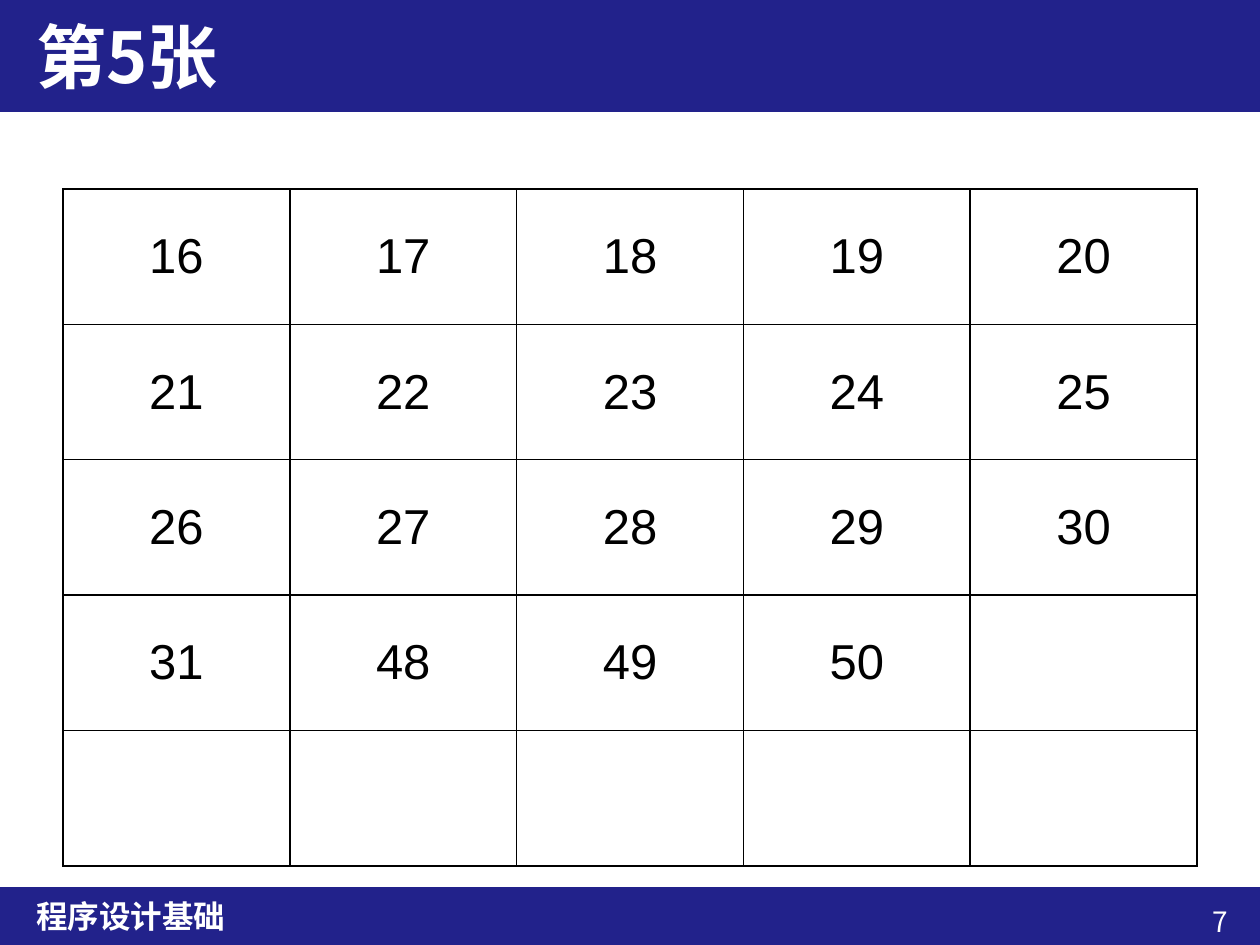
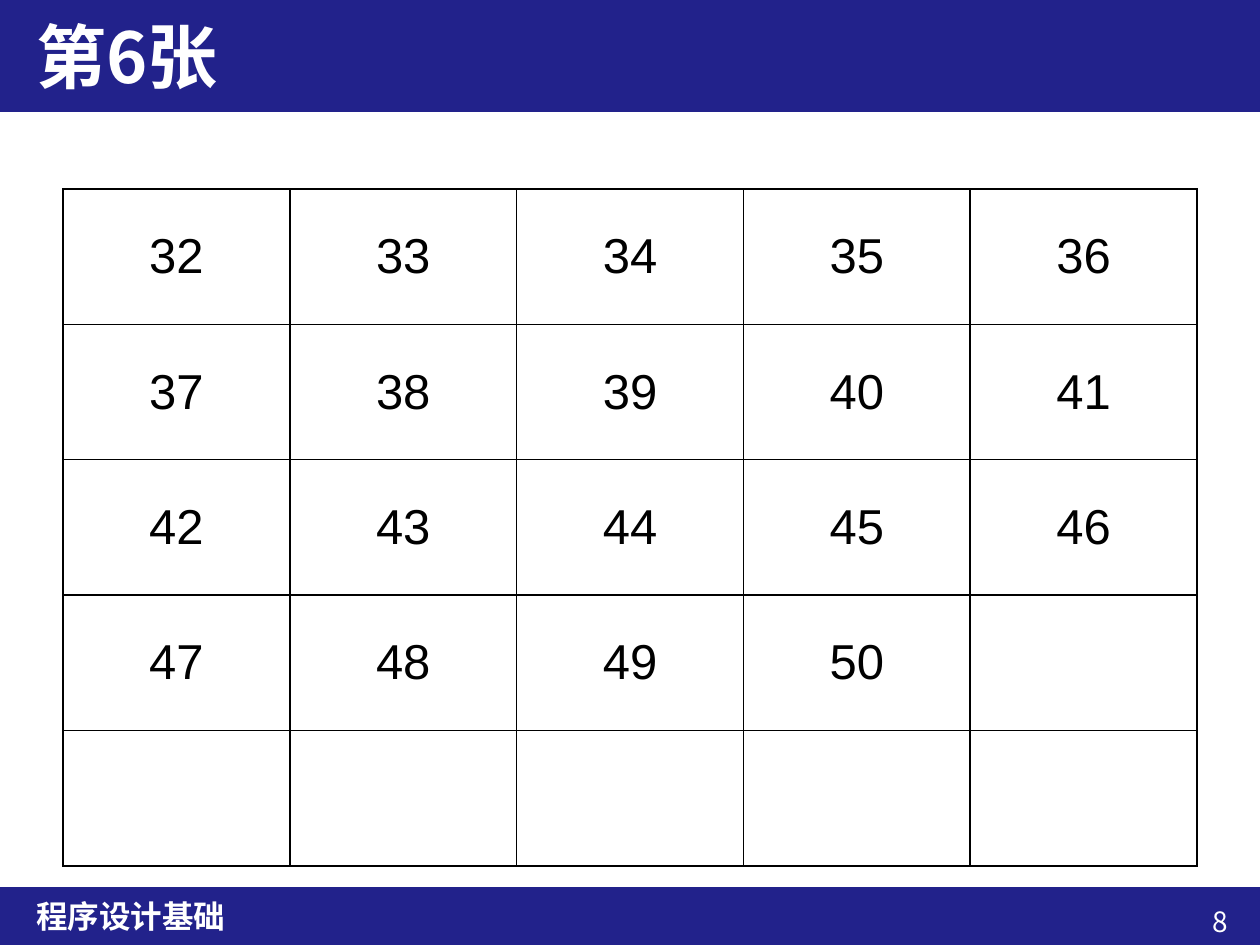
from dataclasses import dataclass

import lxml.etree
import pptx
import pptx.dml.color
import pptx.enum.shapes
import pptx.enum.text
import pptx.oxml.ns
import pptx.util

EMU_PER_PIXEL = 914400 / 126
COLORS = {"navy": "22228B", "white": "FFFFFF", "black": "000000"}
CJK = "Noto Sans CJK SC"
COLUMNS = ROWS = 5
TITLE_ONLY = 5

ALIGN = pptx.enum.text.PP_ALIGN
ANCHOR = pptx.enum.text.MSO_ANCHOR
AUTO_SIZE = pptx.enum.text.MSO_AUTO_SIZE


@dataclass(frozen=True)
class Area:
    left: int
    top: int
    width: int
    height: int

    def emu(self) -> list[int]:
        return [px(n) for n in (self.left, self.top, self.width, self.height)]


@dataclass(frozen=True)
class TextStyle:
    font: dict
    color: str
    align: ALIGN = ALIGN.LEFT
    anchor: ANCHOR = ANCHOR.MIDDLE


@dataclass(frozen=True)
class Card:
    order: int
    page_number: int
    numbers: list[int]


HEADER_BAND = Area(-1, 0, 1261, 112)
FOOTER_BAND = Area(-1, 887, 1261, 58)
TITLE_AREA = Area(24, 0, 1210, 112)
COURSE_AREA = Area(24, 887, 1210, 58)
PAGE_NUMBER_AREA = Area(1082, 898, 158, 47)
TABLE_AREA = Area(63, 189, 1134, 677)

TITLE = TextStyle({"name": CJK, "size": pptx.util.Pt(40), "bold": True}, "white")
COURSE = TextStyle({"name": CJK, "size": pptx.util.Pt(18), "bold": True}, "white")
PAGE_NUMBER = TextStyle({"name": CJK, "size": pptx.util.Pt(16)}, "white", ALIGN.RIGHT, ANCHOR.TOP)
CELL = TextStyle({"name": "Arial", "size": pptx.util.Pt(28)}, "black", ALIGN.CENTER)

CARDS = [
    Card(5, 7, [*range(16, 32), 48, 49, 50]),
    Card(6, 8, [*range(32, 51)]),
]


def px(pixels: int) -> int:
    return round(pixels * EMU_PER_PIXEL)


def rgb(name: str) -> pptx.dml.color.RGBColor:
    return pptx.dml.color.RGBColor.from_string(COLORS[name])


def add_element(parent, tag: str, **attributes: str):
    return lxml.etree.SubElement(parent, pptx.oxml.ns.qn(tag), attributes)


def write(frame, text: str, style: TextStyle) -> None:
    para = frame.paragraphs[0]
    para.alignment = style.align
    span = para.add_run()
    span.text = text
    for key, value in style.font.items():
        setattr(span.font, key, value)
    span.font.color.rgb = rgb(style.color)
    add_element(span.font._element, "a:ea", typeface=style.font["name"])


def write_box(box, area: Area, text: str, style: TextStyle) -> None:
    box.left, box.top, box.width, box.height = area.emu()
    frame_format = {
        "word_wrap": True,
        "auto_size": AUTO_SIZE.NONE,
        "vertical_anchor": style.anchor,
    }
    for key, value in frame_format.items():
        setattr(box.text_frame, key, value)
    write(box.text_frame, text, style)


def add_band(page, area: Area) -> None:
    band = page.shapes.add_shape(pptx.enum.shapes.MSO_SHAPE.RECTANGLE, *area.emu())
    band.shadow.inherit = False
    band.fill.solid()
    band.fill.fore_color.rgb = rgb("navy")
    band.line.fill.background()


def add_text(page, area: Area, text: str, style: TextStyle) -> None:
    write_box(page.shapes.add_textbox(*area.emu()), area, text, style)


def add_frame(page, card: Card) -> None:
    add_band(page, FOOTER_BAND)
    add_text(page, PAGE_NUMBER_AREA, str(card.page_number), PAGE_NUMBER)
    add_text(page, COURSE_AREA, "程序设计基础", COURSE)
    add_band(page, HEADER_BAND)
    title = page.shapes.title
    title.element.getparent().append(title.element)
    write_box(title, TITLE_AREA, f"第{card.order}张", TITLE)


def add_borders(cell) -> None:
    properties = cell._tc.get_or_add_tcPr()
    for side in ("a:lnL", "a:lnR", "a:lnT", "a:lnB"):
        line = add_element(properties, side, w=str(pptx.util.Pt(1)))
        fill = add_element(line, "a:solidFill")
        add_element(fill, "a:srgbClr", val=COLORS["black"])


def add_number_table(page, numbers: list[int]) -> None:
    table = page.shapes.add_table(ROWS, COLUMNS, *TABLE_AREA.emu()).table
    table.first_row = table.horz_banding = False
    for index, cell in enumerate(table.iter_cells()):
        add_borders(cell)
        cell.fill.background()
        cell.vertical_anchor = CELL.anchor
        if index < len(numbers):
            write(cell.text_frame, str(numbers[index]), CELL)


def add_card(deck, card: Card) -> None:
    page = deck.slides.add_slide(deck.slide_layouts[TITLE_ONLY])
    page.background.fill.solid()
    page.background.fill.fore_color.rgb = rgb("white")
    add_frame(page, card)
    add_number_table(page, card.numbers)


deck = pptx.Presentation()
deck.slide_width, deck.slide_height = px(1260), px(945)
for card in CARDS:
    add_card(deck, card)
deck.save("out.pptx")
